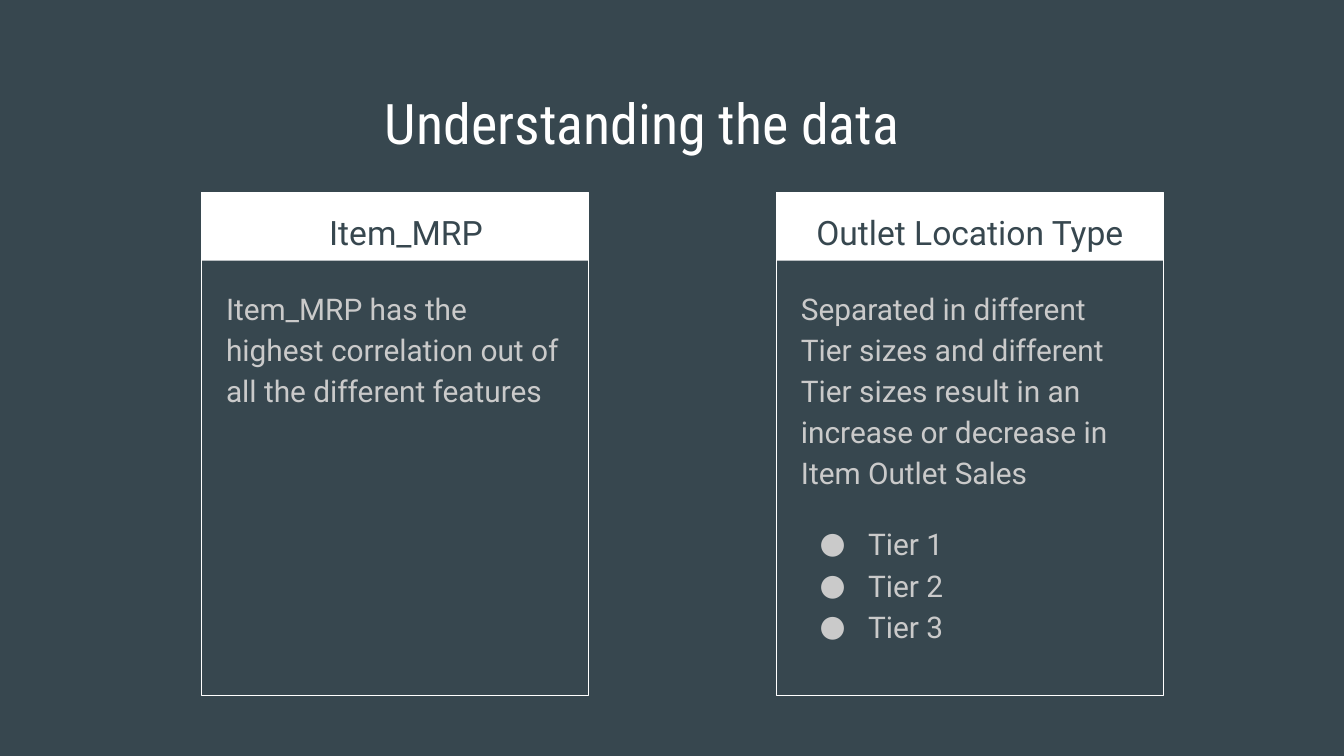
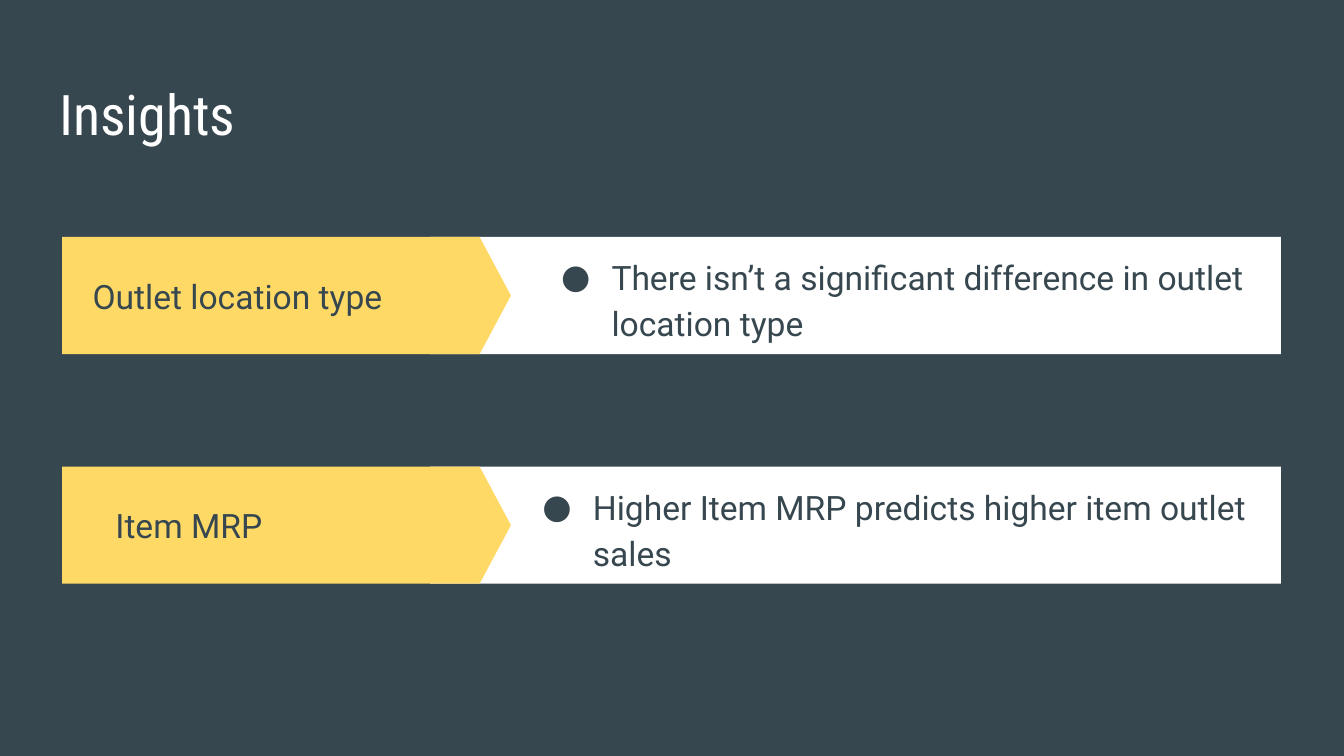
from dataclasses import dataclass
from typing import Any, Optional

import lxml.etree
import pptx
import pptx.dml.color
import pptx.enum.shapes
import pptx.enum.text
import pptx.oxml.ns
import pptx.util

Pt = pptx.util.Pt
RGBColor = pptx.dml.color.RGBColor
Anchor = pptx.enum.text.MSO_ANCHOR
Preset = pptx.enum.shapes.MSO_SHAPE

# Theme
SLATE = RGBColor(0x37, 0x47, 0x4F)
WHITE = RGBColor(0xFF, 0xFF, 0xFF)
SILVER = RGBColor(0xCA, 0xCA, 0xCA)
YELLOW = RGBColor(0xFF, 0xD9, 0x66)
TITLE_FONT = "Roboto Condensed"
BODY_FONT = "Roboto"
INSET = 7.2
TITLE_ONLY = 5

# Shared measures
CARD_TOP, CARD_WIDTH, CARD_HEIGHT = 103, 207.25, 269.5
CARD_HEADER_HEIGHT = 36.75
CARD_BODY_TOP, CARD_BODY_WIDTH, CARD_BODY_HEIGHT = 145.5, 195, 220
BANNER_HEIGHT = 62.75
BANNER_LEFT, ARROW_WIDTH = 33.25, 240.5
BAR_LEFT, BAR_WIDTH = 230.5, 455.75
LABEL_WIDTH, INSIGHT_WIDTH, INSIGHT_DROP = 190.75, 402.5, 13


@dataclass(frozen=True)
class Box:
    left: float
    top: float
    width: float
    height: float

    def lengths(self) -> tuple:
        return tuple(Pt(n) for n in (self.left, self.top, self.width, self.height))


@dataclass(frozen=True)
class Line:
    text: str
    bullet_indent: float = 0
    before: float = 0
    after: float = 0


@dataclass(frozen=True)
class TextStyle:
    size: float
    color: RGBColor
    font: str = BODY_FONT
    spacing: Optional[float] = 1.15
    anchor: Any = Anchor.TOP
    left_inset: float = INSET
    bottom_inset: float = INSET


@dataclass(frozen=True)
class Card:
    left: float
    heading: str
    heading_left: float
    heading_width: float
    heading_inset: float
    lines: tuple


@dataclass(frozen=True)
class Banner:
    top: float
    label: str
    label_left: float
    insight: str
    insight_left: float


def apply(target: Any, values: dict) -> None:
    for name, value in values.items():
        setattr(target, name, value)


def add_bullet(paragraph: Any, indent: float) -> None:
    properties = paragraph._p.get_or_add_pPr()
    properties.set("marL", str(Pt(36)))
    properties.set("indent", str(-Pt(indent)))
    for tag, key, value in (("a:buFont", "typeface", BODY_FONT), ("a:buChar", "char", "●")):
        lxml.etree.SubElement(properties, pptx.oxml.ns.qn(tag)).set(key, value)


def write_text(shape: Any, lines: tuple, style: TextStyle) -> None:
    frame = shape.text_frame
    apply(frame, {
        "word_wrap": True,
        "auto_size": pptx.enum.text.MSO_AUTO_SIZE.NONE,
        "vertical_anchor": style.anchor,
        "margin_left": Pt(style.left_inset),
        "margin_top": Pt(INSET),
        "margin_right": Pt(INSET),
        "margin_bottom": Pt(style.bottom_inset),
    })
    for index, line in enumerate(lines):
        paragraph = frame.add_paragraph() if index else frame.paragraphs[0]
        apply(paragraph, {
            "alignment": pptx.enum.text.PP_ALIGN.LEFT,
            "line_spacing": style.spacing,
            "space_before": Pt(line.before),
            "space_after": Pt(line.after),
        })
        if line.bullet_indent:
            add_bullet(paragraph, line.bullet_indent)
        run = paragraph.add_run()
        run.text = line.text
        apply(run.font, {"size": Pt(style.size), "name": style.font})
        run.font.color.rgb = style.color


def add_text(slide: Any, box: Box, lines: tuple, style: TextStyle) -> None:
    write_text(slide.shapes.add_textbox(*box.lengths()), lines, style)


def add_block(group: Any, preset: Any, box: Box, fill: Optional[RGBColor]) -> Any:
    """Draw a filled shape, or a thin white outline when no fill is given."""
    shape = group.shapes.add_shape(preset, *box.lengths())
    shape.shadow.inherit = False
    if fill is None:
        shape.fill.background()
        shape.line.color.rgb = WHITE
        shape.line.width = Pt(0.75)
    else:
        shape.fill.solid()
        shape.fill.fore_color.rgb = fill
        shape.line.fill.background()
    return shape


def add_titled_slide(presentation: Any, title: str, box: Box, inset: float = INSET) -> Any:
    slide = presentation.slides.add_slide(presentation.slide_layouts[TITLE_ONLY])
    placeholder = slide.shapes.title
    apply(placeholder, dict(zip(("left", "top", "width", "height"), box.lengths())))
    style = TextStyle(30, WHITE, TITLE_FONT, spacing=None, left_inset=inset)
    write_text(placeholder, (Line(title),), style)
    return slide


def add_card(slide: Any, card: Card) -> None:
    group = slide.shapes.add_group_shape()
    for height, fill in ((CARD_HEADER_HEIGHT, WHITE), (CARD_HEIGHT, None)):
        add_block(group, Preset.RECTANGLE, Box(card.left, CARD_TOP, CARD_WIDTH, height), fill)
    add_text(slide, Box(card.heading_left, CARD_TOP, card.heading_width, CARD_HEADER_HEIGHT),
             (Line(card.heading),), TextStyle(18, SLATE, left_inset=card.heading_inset))
    add_text(slide, Box(card.left + 6, CARD_BODY_TOP, CARD_BODY_WIDTH, CARD_BODY_HEIGHT),
             card.lines, TextStyle(16, SILVER))


def add_banner(slide: Any, banner: Banner) -> None:
    group = slide.shapes.add_group_shape()
    add_block(group, Preset.RECTANGLE, Box(BAR_LEFT, banner.top, BAR_WIDTH, BANNER_HEIGHT), WHITE)
    arrow = add_block(group, Preset.PENTAGON,
                      Box(BANNER_LEFT, banner.top, ARROW_WIDTH, BANNER_HEIGHT), YELLOW)
    arrow.adjustments[0] = 0.267
    add_text(slide, Box(banner.label_left, banner.top, LABEL_WIDTH, BANNER_HEIGHT),
             (Line(banner.label),), TextStyle(18, SLATE, spacing=None, anchor=Anchor.MIDDLE))
    # The deep bottom inset lifts the two lines into the bar
    add_text(slide, Box(banner.insight_left, banner.top + INSIGHT_DROP, INSIGHT_WIDTH, BANNER_HEIGHT),
             (Line(banner.insight, bullet_indent=27),),
             TextStyle(18, SLATE, anchor=Anchor.MIDDLE, bottom_inset=31.5))


CARDS = (
    Card(108, "Item_MRP", 169.25, 107.25, INSET, (
        Line("Item_MRP has the highest correlation out of all the different features", after=16),
    )),
    Card(416, "Outlet Location Type", 421.25, 196.5, 16.1, (
        Line("Separated in different Tier sizes and different Tier sizes result in an "
             "increase or decrease in Item Outlet Sales"),
        Line("Tier 1", bullet_indent=26, before=16),
        Line("Tier 2", bullet_indent=26),
        Line("Tier 3", bullet_indent=26),
    )),
)

BANNERS = (
    Banner(127, "Outlet location type", 42.5,
           "There isn’t a significant difference in outlet location type", 284.5),
    Banner(250, "Item MRP", 54.75,
           "Higher Item MRP predicts higher item outlet sales", 274.5),
)


def main() -> None:
    presentation = pptx.Presentation()
    apply(presentation, {"slide_width": Pt(720), "slide_height": Pt(405)})
    background = presentation.slide_master.background.fill
    background.solid()
    background.fore_color.rgb = SLATE

    # Slide 1: two feature cards
    slide = add_titled_slide(presentation, "Understanding the data",
                             Box(192.25, 40.25, 335.5, 45.25), inset=14)
    for card in CARDS:
        add_card(slide, card)

    # Slide 2: insight banners
    slide = add_titled_slide(presentation, "Insights", Box(24.5, 35.25, 671, 45.25))
    for banner in BANNERS:
        add_banner(slide, banner)

    presentation.save("out.pptx")


if __name__ == "__main__":
    main()
